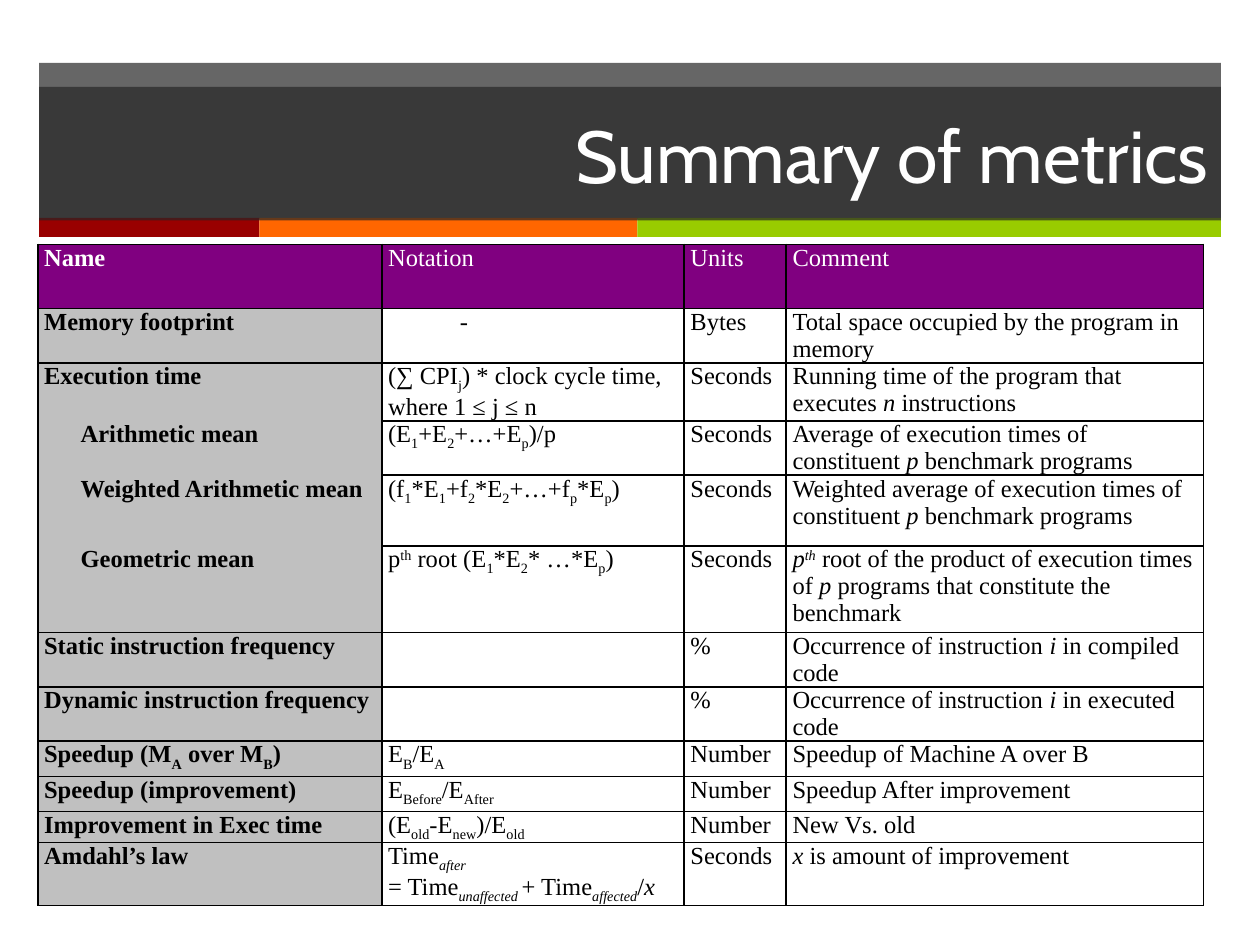
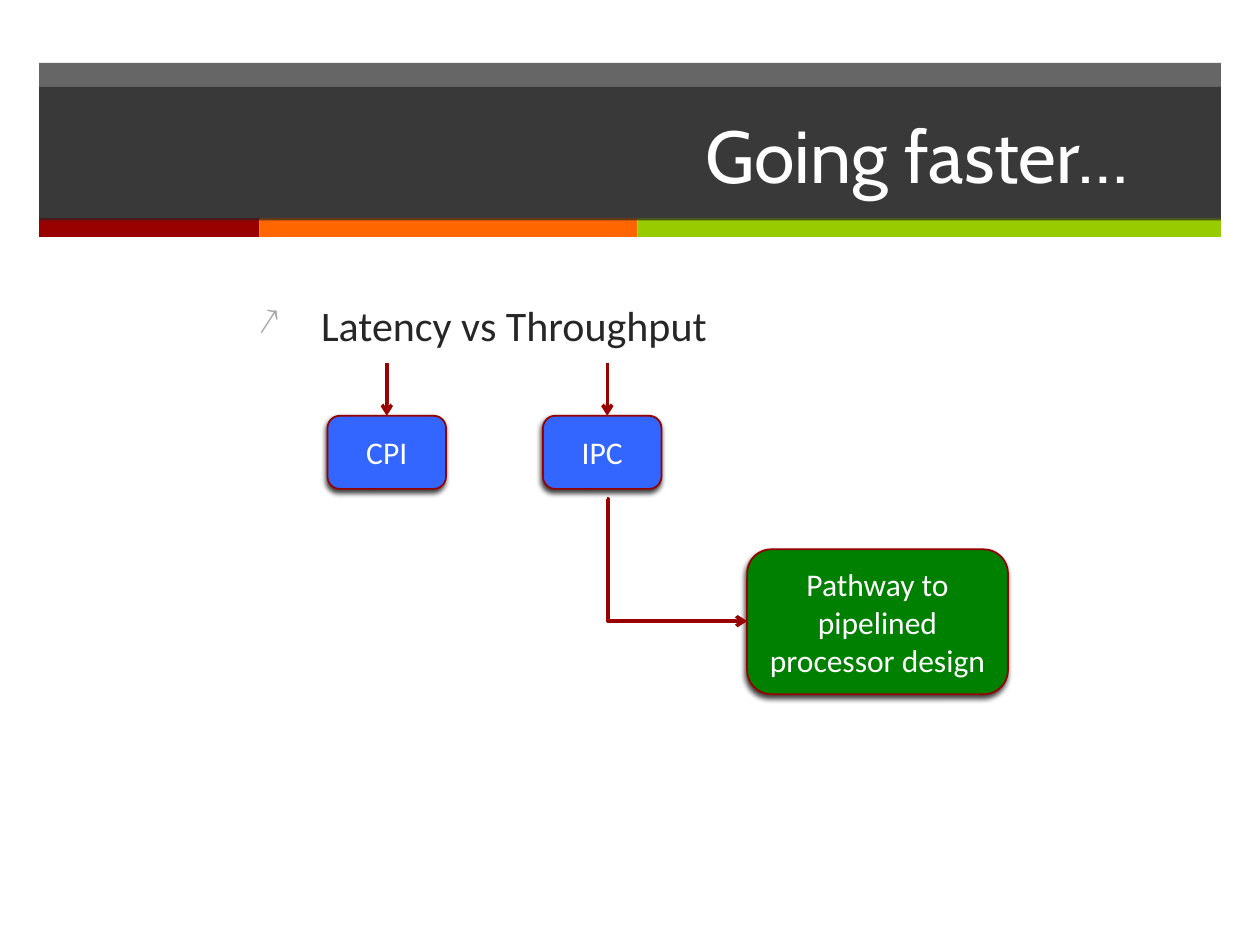
"""Build two lecture slides: a table of processor metrics and a latency diagram."""
from collections.abc import Iterator
from dataclasses import dataclass

from lxml import etree
from pptx import Presentation
from pptx.dml.color import RGBColor
from pptx.enum.shapes import MSO_CONNECTOR, MSO_SHAPE
from pptx.enum.text import MSO_ANCHOR, PP_ALIGN
from pptx.oxml.ns import qn
from pptx.util import Inches, Length, Pt

RECTANGLE, ROUNDED = MSO_SHAPE.RECTANGLE, MSO_SHAPE.ROUNDED_RECTANGLE
STRAIGHT, ELBOW = MSO_CONNECTOR.STRAIGHT, MSO_CONNECTOR.ELBOW
LEFT, CENTER, RIGHT = PP_ALIGN.LEFT, PP_ALIGN.CENTER, PP_ALIGN.RIGHT
TOP, MIDDLE = MSO_ANCHOR.TOP, MSO_ANCHOR.MIDDLE

SLIDE_WIDTH, SLIDE_HEIGHT = Inches(10), Inches(7.5)
GRID_COLUMNS, GRID_ROWS = 100, 75
TITLE_ONLY_LAYOUT = 5
TOP_SIDE = 0
TITLE_FONT, BODY_FONT, TABLE_FONT = "Cabin", "Calibri", "Times New Roman"
COLORS = {
    "band": "262626", "red": "990000", "orange": "FF6600", "lime": "99CC00",
    "white": "FFFFFF", "black": "000000", "header": "800080", "names": "C0C0C0",
    "bullet": "A6A6A6", "blue": "3366FF", "green": "008000", "outline": "960000",
}


@dataclass(frozen=True)
class Area:
    """A rectangle measured in grid columns and rows."""
    left: float
    top: float
    width: float
    height: float

    def lengths(self) -> tuple[Length, Length, Length, Length]:
        """Return left, top, width and height as lengths."""
        return across(self.left), down(self.top), across(self.width), down(self.height)


@dataclass(frozen=True)
class Node:
    """A rounded box of the diagram."""
    text: str
    area: Area
    color: str


@dataclass(frozen=True)
class Arrow:
    """A connector between two grid points, joined to the node named in target."""
    start: tuple[float, float]
    end: tuple[float, float]
    kind: MSO_CONNECTOR = STRAIGHT
    target: str = ""


@dataclass(frozen=True)
class Metric:
    """A table row; ~ toggles italics, [] holds a subscript and {} a superscript."""
    name: str
    notation: str
    units: str
    comment: str
    height: float
    name_indent: float = 0
    notation_indent: float = 0

    def cells(self) -> tuple[str, str, str, str]:
        """Return the texts of the row from left to right."""
        return self.name, self.notation, self.units, self.comment


BAND = Area(3.1, 5, 93.8, 12.4)
TITLE = Area(3.1, 6.9, 93.8, 10.6)
STRIPES = [("red", 17.5), ("orange", 30), ("lime", 46.3)]
STRIPE_TOP, STRIPE_HEIGHT = 17.3, 1.5

TABLE_LEFT, TABLE_TOP = 3, 19.4
TABLE_COLUMNS = [27.3, 24, 8.1, 33.1]
MEAN_INDENT, DASH_INDENT = 2.9, 5.7
EXECUTION_ROWS = range(2, 6)
METRICS = [
    Metric("Name", "Notation", "Units", "Comment", 5.1),
    Metric("Memory footprint", "-", "Bytes",
           "Total space occupied by the program in memory", 4.2,
           notation_indent=DASH_INDENT),
    Metric("Execution time", "(∑ CPI[j]) * clock cycle time, where 1 ≤ j ≤ n", "Seconds",
           "Running time of the program that executes ~n~ instructions", 4.2),
    Metric("Arithmetic mean", "(E[1]+E[2]+…+E[p])/p", "Seconds",
           "Average of execution times of constituent ~p~ benchmark programs", 4.2,
           MEAN_INDENT),
    Metric("Weighted Arithmetic mean", "(f[1]*E[1]+f[2]*E[2]+…+f[p]*E[p])", "Seconds",
           "Weighted average of execution times of constituent ~p~ benchmark programs", 5.6,
           MEAN_INDENT),
    Metric("Geometric mean", "p{th} root (E[1]*E[2]* …*E[p])", "Seconds",
           "~p{th}~ root of the product of execution times of ~p~ programs"
           " that constitute the benchmark", 6.9, MEAN_INDENT),
    Metric("Static instruction frequency", "", "%",
           "Occurrence of instruction ~i~ in compiled code", 4.2),
    Metric("Dynamic instruction frequency", "", "%",
           "Occurrence of instruction ~i~ in executed code", 4.2),
    Metric("Speedup (M[A] over M[B])", "E[B]/E[A]", "Number",
           "Speedup of Machine A over B", 2.8),
    Metric("Speedup (improvement)", "E[Before]/E[After]", "Number",
           "Speedup After improvement", 2.8),
    Metric("Improvement in Exec time", "(E[old]-E[new])/E[old]", "Number", "New Vs. old", 2.4),
    Metric("Amdahl’s law", "Time~[after]~\n= Time~[unaffected ]~+ Time~[affected]~/~x~",
           "Seconds", "~x~ is amount of improvement", 5),
]

BULLET_AREA = Area(19.5, 23.3, 77.4, 6.2)
BULLET_INDENT = 5
NODES = [
    Node("CPI", Area(26, 33, 9.4, 5.8), "blue"),
    Node("IPC", Area(43.1, 33, 9.4, 5.8), "blue"),
    Node("Pathway to pipelined processor design", Area(59.3, 43.6, 20.7, 11.5), "green"),
]
ARROWS = [
    Arrow((30.7, 28.8), (30.7, 33), target="CPI"),
    Arrow((48.2, 28.8), (48.2, 33)),
    Arrow((48.2, 39.6), (59.3, 49.3), ELBOW),
]


def across(columns: float) -> Length:
    """Convert grid columns to a length."""
    return Length(round(SLIDE_WIDTH * columns / GRID_COLUMNS))


def down(rows: float) -> Length:
    """Convert grid rows to a length."""
    return Length(round(SLIDE_HEIGHT * rows / GRID_ROWS))


def rgb(color: str) -> RGBColor:
    """Look up a named colour."""
    return RGBColor.from_string(COLORS[color])


def add_xml(parent, tag: str, **attributes):
    """Append a child element with attributes."""
    child = etree.SubElement(parent, qn(tag))
    for name, value in attributes.items():
        child.set(name, str(value))
    return child


def split_runs(line: str) -> Iterator[tuple[str, bool, int]]:
    """Yield text, italic and baseline for each run of a marked line."""
    baselines = {"[": -25000, "{": 30000, "]": 0, "}": 0}
    text, italic, baseline = "", False, 0
    for letter in line:
        if letter != "~" and letter not in baselines:
            text += letter
            continue
        if text:
            yield text, italic, baseline
        text = ""
        italic ^= letter == "~"
        baseline = baselines.get(letter, baseline)
    if text:
        yield text, italic, baseline


def write_text(frame, text: str, *, size: float, font: str, color: str, bold: bool = False,
               align: PP_ALIGN = LEFT, anchor: MSO_ANCHOR = TOP, indent: float = 0,
               bullet: str = "") -> None:
    """Write marked text, one paragraph a line, into a text frame."""
    frame.word_wrap = True
    frame.vertical_anchor = anchor
    for number, line in enumerate(text.split("\n")):
        paragraph = frame.add_paragraph() if number else frame.paragraphs[0]
        paragraph.alignment = align
        properties = paragraph._p.get_or_add_pPr()
        if indent:
            properties.set("marL", str(across(indent)))
        if bullet:
            properties.set("indent", str(-across(indent)))
            add_xml(add_xml(properties, "a:buClr"), "a:srgbClr", val=COLORS["bullet"])
            add_xml(properties, "a:buSzPct", val=90000)
            add_xml(properties, "a:buChar", char=bullet)
        paragraph.font.size = Pt(size)
        for content, italic, baseline in split_runs(line):
            run = paragraph.add_run()
            run.text = content
            run.font.size, run.font.name = Pt(size), font
            run.font.bold, run.font.italic = bold, italic
            run.font.color.rgb = rgb(color)
            if baseline:
                run._r.get_or_add_rPr().set("baseline", str(baseline))


def fill_shape(shape, color: str, opacity: int = 100) -> None:
    """Fill a shape with a colour of the given opacity in percent."""
    shape.fill.solid()
    shape.fill.fore_color.rgb = rgb(color)
    if opacity < 100:
        color_element = shape._element.spPr.find(qn("a:solidFill"))[0]
        add_xml(color_element, "a:alpha", val=opacity * 1000)


def add_block(slide, area: Area, color: str, opacity: int = 100) -> None:
    """Add a plain rectangle without a line."""
    shape = slide.shapes.add_shape(RECTANGLE, *area.lengths())
    shape.shadow.inherit = False
    shape.line.fill.background()
    fill_shape(shape, color, opacity)


def add_titled_slide(presentation, title: str, right_inset: float = 1):
    """Add a slide with the shared bands and a right-aligned title."""
    slide = presentation.slides.add_slide(presentation.slide_layouts[TITLE_ONLY_LAYOUT])
    add_block(slide, BAND, "band", 70)
    left = BAND.left
    for color, width in STRIPES:
        add_block(slide, Area(left, STRIPE_TOP, width, STRIPE_HEIGHT), color)
        left += width
    shape = slide.shapes.title
    shape.left, shape.top, shape.width, shape.height = TITLE.lengths()
    fill_shape(shape, "band", 70)
    shape.text_frame.margin_right = across(right_inset)
    write_text(shape.text_frame, title, size=42, font=TITLE_FONT, color="white",
               align=RIGHT, anchor=MIDDLE)
    slide.shapes._spTree.append(shape._element)
    return slide


def format_cell(cell, color: str, hidden_edges: set[str]) -> None:
    """Set the margins, borders and fill of a cell."""
    cell.margin_left = cell.margin_right = across(0.5)
    cell.margin_top = cell.margin_bottom = 0
    properties = cell._tc.get_or_add_tcPr()
    for edge in ("lnL", "lnR", "lnT", "lnB"):
        line = add_xml(properties, f"a:{edge}", w=Pt(1))
        if edge in hidden_edges:
            add_xml(line, "a:noFill")
        else:
            add_xml(add_xml(line, "a:solidFill"), "a:srgbClr", val=COLORS["black"])
    if color:
        cell.fill.solid()
        cell.fill.fore_color.rgb = rgb(color)
    else:
        cell.fill.background()


def add_metrics_table(slide) -> None:
    """Add the table of metrics."""
    area = Area(TABLE_LEFT, TABLE_TOP, sum(TABLE_COLUMNS), sum(row.height for row in METRICS))
    table = slide.shapes.add_table(len(METRICS), len(TABLE_COLUMNS), *area.lengths()).table
    table.first_row = table.horz_banding = False
    for column, width in zip(table.columns, TABLE_COLUMNS):
        column.width = across(width)
    for row, metric in enumerate(METRICS):
        table.rows[row].height = down(metric.height)
        indents = (metric.name_indent, metric.notation_indent, 0, 0)
        for column, (text, indent) in enumerate(zip(metric.cells(), indents)):
            hidden = set()
            if column == 0 and row in EXECUTION_ROWS:
                hidden |= {"lnT"} if row - 1 in EXECUTION_ROWS else set()
                hidden |= {"lnB"} if row + 1 in EXECUTION_ROWS else set()
            fill = "header" if row == 0 else "names" if column == 0 else ""
            cell = table.cell(row, column)
            format_cell(cell, fill, hidden)
            write_text(cell.text_frame, text, size=14, font=TABLE_FONT, bold=column == 0,
                       color="black" if row else "white", indent=indent)


def add_node(slide, node: Node):
    """Add a rounded box with a soft shadow."""
    shape = slide.shapes.add_shape(ROUNDED, *node.area.lengths())
    fill_shape(shape, node.color)
    shape.line.color.rgb, shape.line.width = rgb("outline"), Pt(1)
    shape.shadow.inherit = False
    effects = shape._element.spPr.find(qn("a:effectLst"))
    shadow = add_xml(effects, "a:outerShdw", blurRad=Pt(3), dist=Pt(2), dir=110 * 60000)
    add_xml(add_xml(shadow, "a:srgbClr", val=COLORS["black"]), "a:alpha", val=75000)
    write_text(shape.text_frame, node.text, size=18, font=BODY_FONT, color="white",
               align=CENTER, anchor=MIDDLE)
    return shape


def add_arrow(slide, arrow: Arrow, shapes: dict) -> None:
    """Add an arrow, with its bend close to the start when it is an elbow."""
    (start_x, start_y), (end_x, end_y) = arrow.start, arrow.end
    connector = slide.shapes.add_connector(
        arrow.kind, across(start_x), down(start_y), across(end_x), down(end_y))
    if arrow.target:
        connector.end_connect(shapes[arrow.target], TOP_SIDE)
    connector.line.color.rgb, connector.line.width = rgb("red"), Pt(2)
    properties = connector._element.spPr
    add_xml(properties.find(qn("a:ln")), "a:tailEnd", type="arrow")
    add_xml(properties, "a:effectLst")
    if arrow.kind == ELBOW:
        adjustments = properties.find(qn("a:prstGeom")).find(qn("a:avLst"))
        add_xml(adjustments, "a:gd", name="adj1", fmla="val 400")


def main() -> None:
    """Build and save the presentation."""
    presentation = Presentation()
    presentation.slide_width, presentation.slide_height = SLIDE_WIDTH, SLIDE_HEIGHT
    add_metrics_table(add_titled_slide(presentation, "Summary of metrics"))
    slide = add_titled_slide(presentation, "Going faster…", right_inset=7.4)
    text_box = slide.shapes.add_textbox(*BULLET_AREA.lengths())
    write_text(text_box.text_frame, "Latency vs Throughput", size=24, font=BODY_FONT,
               color="band", indent=BULLET_INDENT, bullet="↗")
    shapes = {node.text: add_node(slide, node) for node in NODES}
    for arrow in ARROWS:
        add_arrow(slide, arrow, shapes)
    presentation.save("out.pptx")


if __name__ == "__main__":
    main()
